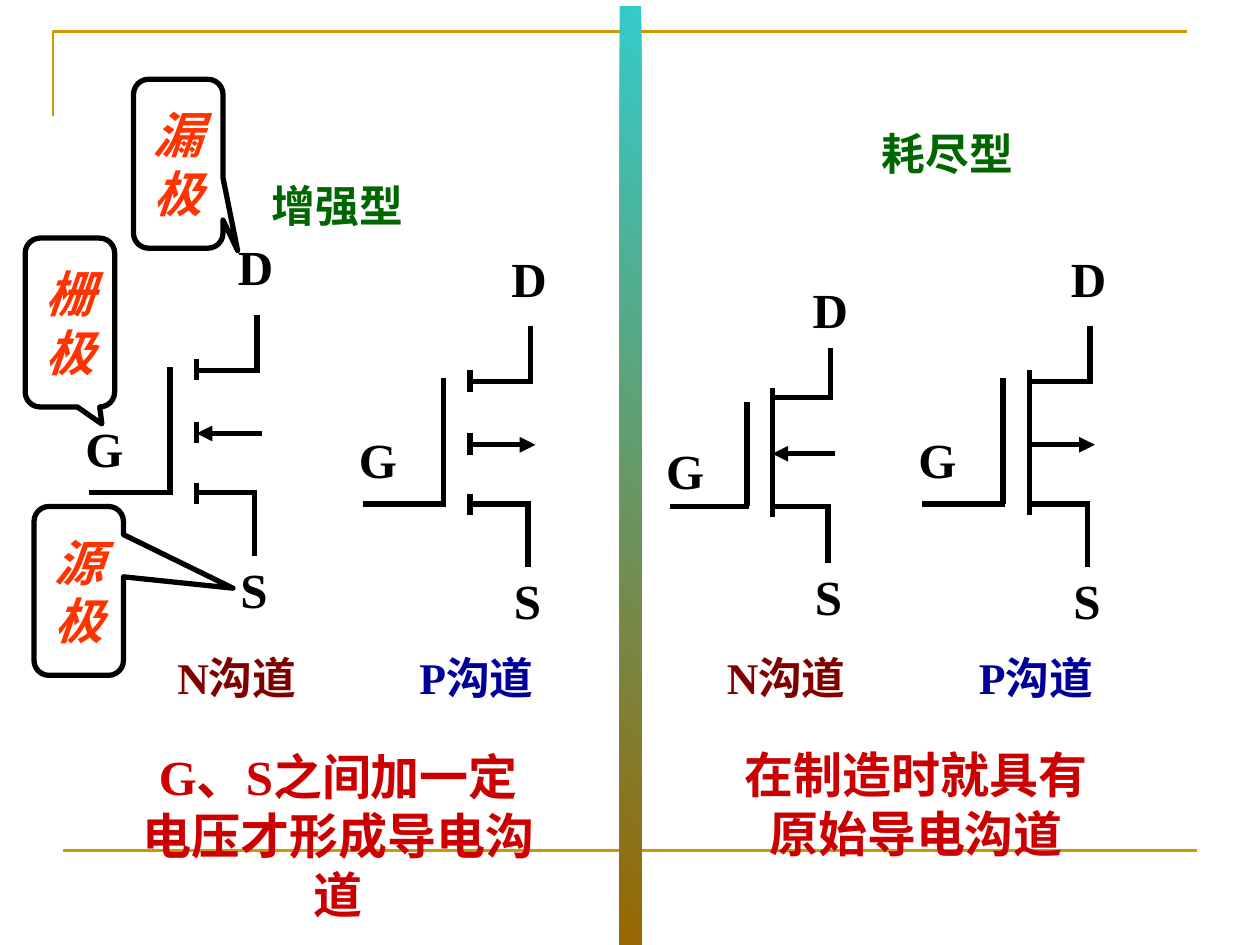
import pptx
import pptx.util
import pptx.dml.color
import pptx.enum.shapes
import pptx.enum.text
import pptx.oxml
import pptx.oxml.ns
from pptx.util import Inches

THEME = {
    "latin": "Times New Roman", "cjk": "Noto Sans CJK SC",
    "ink": "000000", "gold": "CC9900", "green": "006600", "maroon": "800000",
    "blue": "000099", "red": "CC0000", "orange": "FF3300",
    "bar": ("33CCCC", "996600"),
    "label": 25, "large": 28, "leading": 1.2,
    "frame": 1.5, "wire": 3,
}

# Content: each paragraph is a list of (text, font) runs
HEADINGS = [  # text, colour, left, top, width, height
    ("耗尽型", "green", 6.9, 0.95, 1.84, 0.52),
    ("增强型", "green", 2.06, 1.25, 1.83, 0.75),
    ("N沟道", "maroon", 1.31, 5, 1.83, 0.75),
    ("P沟道", "blue", 3.23, 5, 1.83, 0.75),
    ("N沟道", "maroon", 5.67, 5, 1.83, 0.75),
    ("P沟道", "blue", 7.67, 5, 1.83, 0.75),
]
CAPTIONS = [
    ((0.84, 5.88, 3.69, 1.04),
     [[("G、S", "latin"), ("之间加一定", "cjk")], [("电压才形成导电沟道", "cjk")]]),
    ((5.81, 5.86, 2.92, 1.04),
     [[("在制造时就具有", "latin")], [("原始", "latin"), ("导电沟道", "cjk")]]),
]
CALLOUTS = [  # text, left, top, pointer x, pointer y
    ("源极", 0.27, 4.02, 1.725, -0.016),
    ("漏极", 1.06, 0.63, 0.664, 0.514),
    ("栅极", 0.2, 1.89, 0.358, 0.601),
]
TRANSISTORS = [  # channel x, top y, x scale, y scale, gate top, type, depletion
    (1.56, 2.91, 1, 1, 0, "N", False),
    (3.73, 3, 1, 1, 0, "P", False),
    (8.17, 3, 1, 1, 0, "P", True),
    (6.13, 3.13, 0.96, 0.89, 0.07, "N", True),
]

# Transistor symbol, measured from the channel line and the gate top
WIRES = [
    (-0.21, 1, -0.21, 0), (-0.19, 1, -0.85, 1),    # gate and its lead
    (0, -0.06, 0, 0.11), (0, 0.44, 0, 0.61), (0, 0.92, 0, 1.09),  # channel
    (-0.02, 0.03, 0.5, 0.03), (0.48, 0.05, 0.48, -0.41),  # drain
    (0, 1, 0.48, 1), (0.46, 0.98, 0.46, 1.5),      # source
]
CHANNEL = (0, -0.02, 0, 1)
SUBSTRATE = (0, 0.53, 0.52, 0.53)
TERMINALS = [  # letter, left, top, width
    ("G", -0.98, 0.36, 0.67), ("S", 0.25, 1.48, 0.69), ("D", 0.23, -1.08, 0.77),
]

prs = pptx.Presentation()
prs.slide_width, prs.slide_height = Inches(10), Inches(7.5)
shapes = prs.slides.add_slide(prs.slide_layouts[6]).shapes


def rgb(value):
    return pptx.dml.color.RGBColor.from_string(value)


def sub(parent, tag, **attrs):
    el = pptx.oxml.parse_xml(f'<{tag} {pptx.oxml.ns.nsdecls("a")}/>')
    for key, value in attrs.items():
        el.set(key, value)
    parent.append(el)


def line(x1, y1, x2, y2, color="ink", width="wire", arrow=False):
    cx = shapes.add_connector(pptx.enum.shapes.MSO_CONNECTOR.STRAIGHT,
                              *map(Inches, (x1, y1, x2, y2)))
    cx.line.color.rgb = rgb(THEME[color])
    cx.line.width = pptx.util.Pt(THEME[width])
    if arrow:
        sub(cx.line._get_or_add_ln(), "a:tailEnd", type="triangle")
    sub(cx._element.spPr, "a:effectLst")


def write(sp, paragraphs, color, size="large", center=False, middle=False, wrap=True):
    tf = sp.text_frame
    tf.word_wrap = wrap
    anchor = pptx.enum.text.MSO_ANCHOR
    tf.vertical_anchor = anchor.MIDDLE if middle else anchor.TOP
    align = pptx.enum.text.PP_ALIGN
    for i, runs in enumerate(paragraphs):
        p = tf.add_paragraph() if i else tf.paragraphs[0]
        p.alignment = align.CENTER if center else align.LEFT
        p.line_spacing = pptx.util.Pt(THEME[size] * THEME["leading"])
        p.font.size = pptx.util.Pt(THEME[size])
        p.font.bold = True
        p.font.color.rgb = rgb(THEME[color])
        p.font.name = THEME["latin"]
        sub(p._p.pPr.find(pptx.oxml.ns.qn("a:defRPr")), "a:ea", typeface=THEME["cjk"])
        for text, font in runs:
            r = p.add_run()
            r.text = text
            if font != "latin":
                r.font.name = THEME[font]
    return tf


def textbox(box, paragraphs, color, **style):
    write(shapes.add_textbox(*map(Inches, box)), paragraphs, color, **style)


def transistor(x0, y0, sx, sy, gate_top, kind, depletion):
    def place(x1, y1, x2, y2):
        return x0 + x1 * sx, y0 + y1 * sy, x0 + x2 * sx, y0 + y2 * sy

    gate, *others = WIRES
    wires = [(*gate[:3], gate_top)] + others + [CHANNEL] * depletion
    for wire in wires:
        line(*place(*wire))
    arrow = place(*SUBSTRATE)
    line(*(arrow if kind == "P" else arrow[2:] + arrow[:2]), arrow=True)
    for letter, x, y, w in TERMINALS:
        textbox((x0 + x * sx, y0 + y * sy, w * sx, 0.57), [[(letter, "latin")]], "ink")


# Frame lines
fb = shapes.build_freeform(Inches(0.42), Inches(0.92), scale=1.0)
fb.add_line_segments([(Inches(0.42), Inches(0.25)), (Inches(9.42), Inches(0.25))], close=False)
corner = fb.convert_to_shape()
corner.shadow.inherit = False
corner.fill.background()
corner.line.color.rgb = rgb(THEME["gold"])
corner.line.width = pptx.util.Pt(THEME["frame"])
line(0.5, 6.75, 9.5, 6.75, "gold", "frame")

# Transistor symbols and headings
for symbol in TRANSISTORS:
    transistor(*symbol)
for text, color, *box in HEADINGS:
    textbox(box, [[(text, "latin")]], color, size="label", middle=True)

# Dividing bar
bar = shapes.add_shape(pptx.enum.shapes.MSO_SHAPE.RECTANGLE,
                       *map(Inches, (4.92, 0.05, 0.17, 7.45)))
bar.shadow.inherit = False
bar.line.fill.background()
bar.fill.gradient()
bar.fill.gradient_angle = 225
for stop, color in zip(bar.fill.gradient_stops, THEME["bar"]):
    stop.color.rgb = rgb(color)
    stop.position = THEME["bar"].index(color)

# Captions
for box, paragraphs in CAPTIONS:
    textbox(box, paragraphs, "red", center=True, wrap=False)

# Electrode callouts
for text, x, y, *pointer in CALLOUTS:
    sp = shapes.add_shape(pptx.enum.shapes.MSO_SHAPE.ROUNDED_RECTANGULAR_CALLOUT,
                          *map(Inches, (x, y, 0.71, 1.34)))
    sp.shadow.inherit = False
    sp.fill.background()
    sp.line.color.rgb = rgb(THEME["ink"])
    sp.line.width = pptx.util.Pt(THEME["wire"])
    for i, value in enumerate(pointer):
        sp.adjustments[i] = value
    tf = write(sp, [[(text, "latin")]], "orange", center=True, middle=True)
    tf.paragraphs[0].font.italic = True

prs.save("out.pptx")
